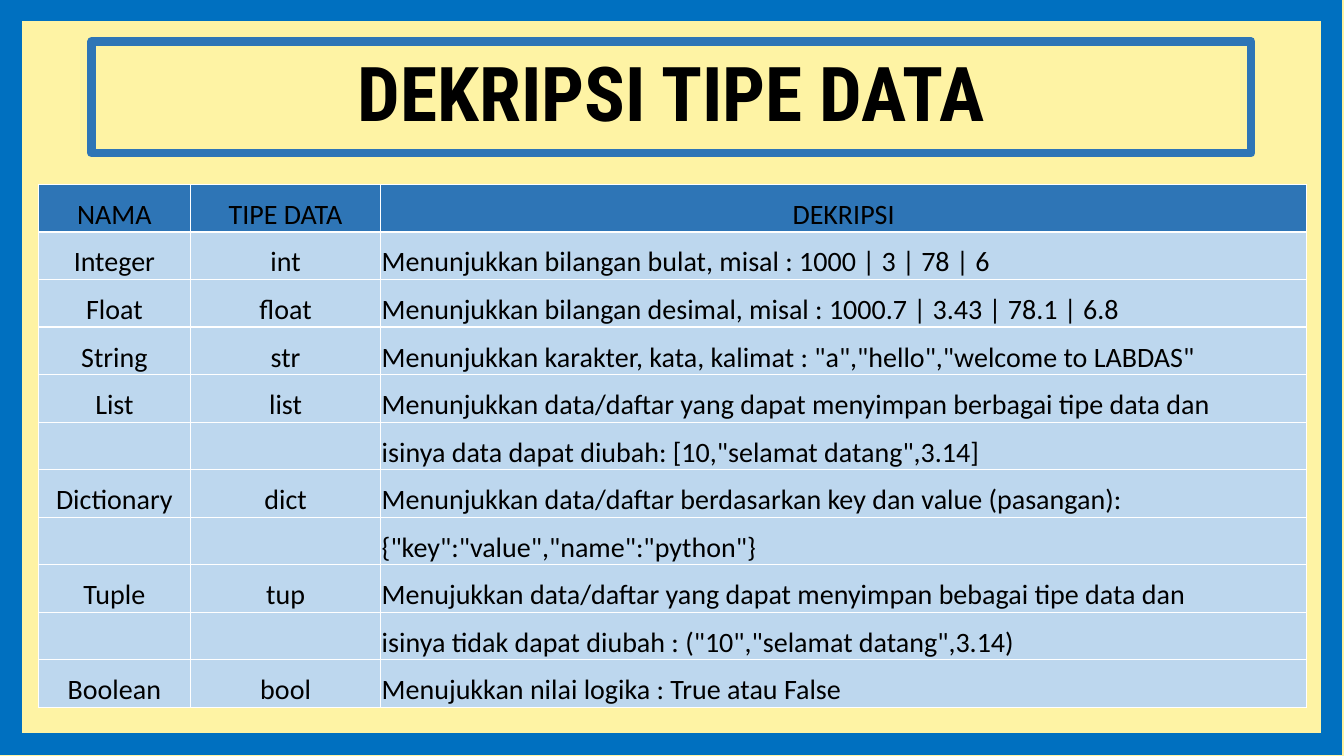
from lxml import etree
from pptx import Presentation
from pptx.dml.color import RGBColor
from pptx.enum.shapes import MSO_SHAPE
from pptx.enum.text import MSO_ANCHOR, PP_ALIGN
from pptx.oxml import parse_xml
from pptx.oxml.ns import nsdecls, qn
from pptx.util import Inches, Pt

RECTANGLE = MSO_SHAPE.RECTANGLE
BOTTOM, MIDDLE = MSO_ANCHOR.BOTTOM, MSO_ANCHOR.MIDDLE
LEFT, CENTER = PP_ALIGN.LEFT, PP_ALIGN.CENTER

CREAM = RGBColor(0xFE, 0xF3, 0xA4)
FRAME_BLUE = RGBColor(0x00, 0x70, 0xC0)
HEADER_BLUE = RGBColor(0x2E, 0x75, 0xB6)
BODY_BLUE = RGBColor(0xBD, 0xD7, 0xEE)
WHITE = RGBColor(0xFF, 0xFF, 0xFF)
BLACK = RGBColor(0x00, 0x00, 0x00)

SLIDE_SIZE = (13.33, 7.5)
FRAME_BOX = (0.11, 0.1, 13.1, 7.28)
TITLE_BOX = (0.91, 0.41, 11.5, 1.11)
TABLE_BOX = (0.38, 1.83, 12.58, 5.19)
COLUMN_SHARES = (0.12, 0.15, 0.73)
COLUMN_ALIGNS = (CENTER, CENTER, LEFT)
BORDER_SIDES = ("lnL", "lnR", "lnT", "lnB")

TITLE_FONT = {"name": "Roboto Condensed", "size": Pt(54), "bold": True}
TABLE_FONT = {"name": "Calibri", "size": Pt(20), "bold": False}
CELL_FORMAT = {
    "vertical_anchor": BOTTOM,
    "margin_left": Inches(0.01),
    "margin_right": Inches(0.01),
    "margin_top": Inches(0.01),
    "margin_bottom": 0,
}

ROWS = (
    ("NAMA", "TIPE DATA", "DEKRIPSI"),
    ("Integer", "int", "Menunjukkan bilangan bulat, misal : 1000 | 3 | 78 | 6"),
    ("Float", "float", "Menunjukkan bilangan desimal, misal : 1000.7 | 3.43 | 78.1 | 6.8"),
    ("String", "str", 'Menunjukkan karakter, kata, kalimat : "a","hello","welcome to LABDAS"'),
    ("List", "list", "Menunjukkan data/daftar yang dapat menyimpan berbagai tipe data dan"),
    ("", "", 'isinya data dapat diubah: [10,"selamat datang",3.14]'),
    ("Dictionary", "dict", "Menunjukkan data/daftar berdasarkan key dan value (pasangan):"),
    ("", "", '{"key":"value","name":"python"}'),
    ("Tuple", "tup", "Menujukkan data/daftar yang dapat menyimpan bebagai tipe data dan"),
    ("", "", 'isinya tidak dapat diubah : ("10","selamat datang",3.14)'),
    ("Boolean", "bool", "Menujukkan nilai logika : True atau False"),
)


def apply_format(target, values):
    """Set each named attribute of the target."""
    for name, value in values.items():
        setattr(target, name, value)


def write_text(frame, text, font, align):
    """Write one black span in the first paragraph of a text frame."""
    para = frame.paragraphs[0]
    para.alignment = align
    span = para.add_run()
    span.text = text
    apply_format(span.font, font)
    span.font.color.rgb = BLACK
    return para


def add_outline(page, box, color, width, join):
    """Add an unfilled rectangle with a coloured outline."""
    shape = page.shapes.add_shape(RECTANGLE, *map(Inches, box))
    shape.shadow.inherit = False
    shape.fill.background()
    shape.line.color.rgb = color
    shape.line.width = Pt(width)
    etree.SubElement(shape.line._get_or_add_ln(), qn(f"a:{join}"))
    return shape


def add_title(page, box):
    """Add the outlined title."""
    frame = add_outline(page, box, HEADER_BLUE, 6, "round").text_frame
    apply_format(frame, {"word_wrap": True, "vertical_anchor": MIDDLE})
    para = write_text(frame, "DEKRIPSI TIPE DATA", TITLE_FONT, CENTER)
    para.line_spacing = 0.9


def add_borders(cell):
    """Draw a thin white line on every side of a cell."""
    properties = cell._tc.get_or_add_tcPr()
    for side in BORDER_SIDES:
        properties.append(parse_xml(
            f'<a:{side} {nsdecls("a")} w="{Pt(1)}"><a:solidFill>'
            f'<a:srgbClr val="{WHITE}"/></a:solidFill></a:{side}>'))


def add_type_table(page, box):
    """Add the table of data types, with equal rows and shared column widths."""
    width, height = box[2:]
    table = page.shapes.add_table(len(ROWS), len(COLUMN_SHARES), *map(Inches, box)).table
    apply_format(table, {"first_row": False, "horz_banding": False})
    for column, share in zip(table.columns, COLUMN_SHARES):
        column.width = Inches(width * share)
    for index, texts in enumerate(ROWS):
        table.rows[index].height = Inches(height / len(ROWS))
        header = index == 0
        for cell, text, align in zip(table.rows[index].cells, texts, COLUMN_ALIGNS):
            add_borders(cell)
            cell.fill.solid()
            cell.fill.fore_color.rgb = HEADER_BLUE if header else BODY_BLUE
            if text:
                apply_format(cell, CELL_FORMAT)
                write_text(cell.text_frame, text, TABLE_FONT, CENTER if header else align)


def main():
    """Build the slide and save the deck."""
    deck = Presentation()
    deck.slide_width, deck.slide_height = map(Inches, SLIDE_SIZE)
    page = deck.slides.add_slide(deck.slide_layouts[6])
    page.background.fill.solid()
    page.background.fill.fore_color.rgb = CREAM
    add_outline(page, FRAME_BOX, FRAME_BLUE, 15.25, "miter")
    add_type_table(page, TABLE_BOX)
    add_title(page, TITLE_BOX)
    deck.save("out.pptx")


if __name__ == "__main__":
    main()
